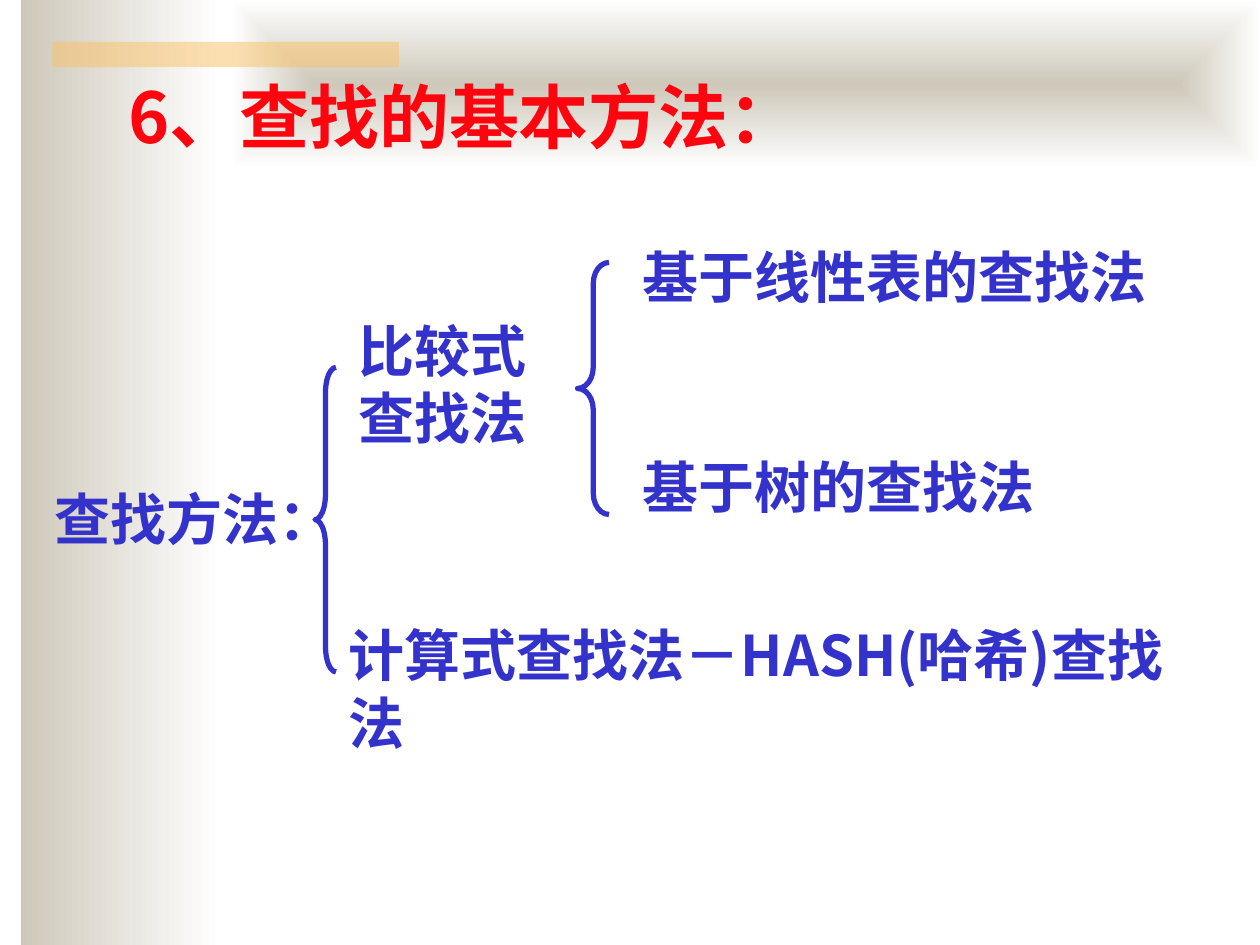
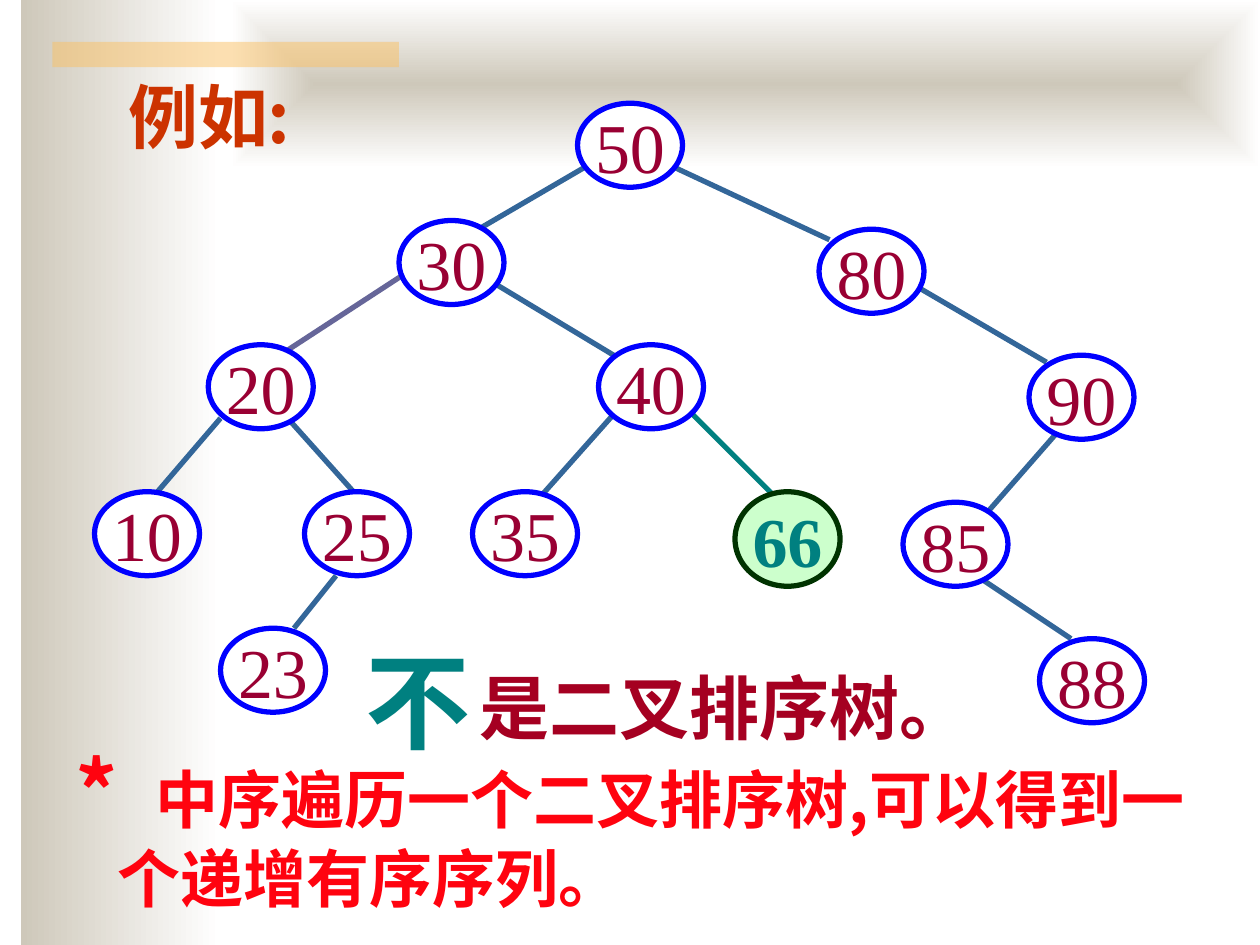
"""Build two lecture slides: search methods and a counter-example search tree."""
from dataclasses import dataclass

from pptx import Presentation, util as u
from pptx.dml.color import RGBColor
from pptx.enum import shapes, text
from pptx.oxml import parse_xml
from pptx.oxml.ns import nsdecls, qn

Pt = u.Pt


@dataclass(frozen=True)
class Theme:
    """Colours, fonts and sizes shared by the slides."""
    sand: str = "CEC8BA"
    white: str = "FFFFFF"
    amber: str = "FAC164"
    red: str = "FF030F"
    rust: str = "CC3300"
    indigo: str = "3333CC"
    crimson: str = "A50021"
    teal: str = "008080"
    node_line: str = "0000FF"
    node_text: str = "990033"
    odd_fill: str = "CCFFCC"
    odd_line: str = "003300"
    edge: str = "336699"
    edge_alternate: str = "666699"
    sans: str = "Noto Sans CJK SC"
    serif: str = "Times New Roman"
    title_size: int = 40
    label_size: int = 32
    note_size: int = 36
    star_size: int = 48
    emphasis_size: int = 60
    stroke: int = 3


THEME = Theme()


def apply(target, values):
    """Set every attribute named in a dict."""
    for name, value in values.items():
        setattr(target, name, value)


def add_run(paragraph, words, size, color, font=THEME.sans, bold=True):
    """Add a formatted run with Latin and East Asian fonts."""
    run = paragraph.add_run()
    run.text = words
    apply(run.font, {"name": font, "size": Pt(size), "bold": bold})
    run.font.color.rgb = RGBColor.from_string(color)
    run._r.get_or_add_rPr().append(
        parse_xml(f'<a:ea {nsdecls("a")} typeface="{THEME.sans}"/>'))


def add_label(slide, box, lines, size, color, font=THEME.sans, wrap=True):
    """Add a text box whose line pitch follows the type size."""
    label = slide.shapes.add_textbox(*map(Pt, box))
    frame = label.text_frame
    apply(frame, {"word_wrap": wrap, "auto_size": text.MSO_AUTO_SIZE.NONE,
                  "margin_top": Pt(3.6 + size / 10)})
    for index, line in enumerate(lines):
        paragraph = frame.add_paragraph() if index else frame.paragraphs[0]
        paragraph.line_spacing = Pt(size * 1.2)
        add_run(paragraph, line, size, color, font)
    return frame


def add_shape(slide, kind, box, fill=None, line=None):
    """Add a flat shape with optional solid fill and outline."""
    shape = slide.shapes.add_shape(kind, *map(Pt, box))
    shape.shadow.inherit = False
    if fill:
        shape.fill.solid()
        shape.fill.fore_color.rgb = RGBColor.from_string(fill)
    else:
        shape.fill.background()
    if line:
        shape.line.color.rgb = RGBColor.from_string(line)
        shape.line.width = Pt(THEME.stroke)
    else:
        shape.line.fill.background()
    return shape


def add_gradient_band(slide, box, from_center=False):
    """Add a band fading from sand to white."""
    band = add_shape(slide, shapes.MSO_SHAPE.RECTANGLE, box)
    band.fill.gradient()
    for stop, color in zip(band.fill.gradient_stops, (THEME.sand, THEME.white)):
        stop.color.rgb = RGBColor.from_string(color)
    band.fill.gradient_angle = 0
    if from_center:
        gradient = band._element.spPr.find(qn("a:gradFill"))
        gradient.replace(gradient.find(qn("a:lin")), parse_xml(
            f'<a:path {nsdecls("a")} path="shape">'
            '<a:fillToRect l="50000" t="50000" r="50000" b="50000"/></a:path>'))
    return band


def decorate_master(presentation, slide):
    """Move the shared bands from a slide to its master."""
    side = add_gradient_band(slide, (12, 0, 114, 540))
    top = add_gradient_band(slide, (132, 0, 588, 96), from_center=True)
    accent = add_shape(slide, shapes.MSO_SHAPE.RECTANGLE, (30, 24, 198, 14.4), THEME.amber)
    color = accent._element.spPr.find(qn("a:solidFill"))[0]
    color.append(parse_xml(f'<a:alpha {nsdecls("a")} val="50000"/>'))
    tree = presentation.slide_master.shapes._spTree
    for index, band in enumerate((side, top, accent)):
        tree.insert(2 + index, band._element)


def set_title(slide, words, color):
    """Place and fill the title placeholder."""
    title = slide.shapes.title
    apply(title, dict(zip(("left", "top", "width", "height"), map(Pt, (66, 24, 612, 66)))))
    apply(title.text_frame, {"vertical_anchor": text.MSO_ANCHOR.BOTTOM, "word_wrap": True,
                             "auto_size": text.MSO_AUTO_SIZE.NONE, "margin_bottom": 0})
    paragraph = title.text_frame.paragraphs[0]
    paragraph.alignment = text.PP_ALIGN.LEFT
    add_run(paragraph, words, THEME.title_size, color)


def draw_methods(slide, left, top):
    """Draw the bracketed outline of search methods."""
    labels = [
        ((0, 138, 198, 45), ["查找方法："]),
        ((174, 42, 198, 84), ["比较式", "查找法"]),
        ((168, 216, 510, 84), ["计算式查找法－HASH(哈希)查找法"]),
        ((336, 0, 342, 45), ["基于线性表的查找法"]),
        ((336, 120, 282, 45), ["基于树的查找法"]),
    ]
    braces = [((156, 78, 12, 174), 1.21), ((306, 18, 18, 144), 0.67)]
    for (x, y, width, height), lines in labels:
        add_label(slide, (left + x, top + y, width, height), lines,
                  THEME.label_size, THEME.indigo)
    for (x, y, width, height), curve in braces:
        brace = add_shape(slide, shapes.MSO_SHAPE.LEFT_BRACE,
                          (left + x, top + y, width, height), line=THEME.indigo)
        brace.adjustments[0] = curve


def add_edge(slide, ends, color):
    """Add a straight tree edge."""
    edge = slide.shapes.add_connector(shapes.MSO_CONNECTOR.STRAIGHT, *map(Pt, ends))
    edge.line.color.rgb = RGBColor.from_string(color)
    edge.line.width = Pt(THEME.stroke)
    edge._element.spPr.append(parse_xml(f'<a:effectLst {nsdecls("a")}/>'))


def add_node(slide, key, x, y, odd=False):
    """Add a tree node, highlighted when it breaks the ordering."""
    fill, line, color = ((THEME.odd_fill, THEME.odd_line, THEME.teal) if odd
                         else (THEME.white, THEME.node_line, THEME.node_text))
    node = add_shape(slide, shapes.MSO_SHAPE.OVAL, (x, y, 60, 54 if odd else 48), fill, line)
    apply(node.text_frame, {"word_wrap": False, "vertical_anchor": text.MSO_ANCHOR.MIDDLE})
    paragraph = node.text_frame.paragraphs[0]
    paragraph.alignment = text.PP_ALIGN.CENTER
    add_run(paragraph, str(key), THEME.title_size, color, THEME.serif, odd)


def draw_tree(slide, left, top):
    """Draw the edges and then the nodes of the tree."""
    nodes = {50: (276, 0), 30: (174, 67), 80: (414, 72), 20: (65, 138), 90: (534, 144),
             10: (0, 222), 85: (462, 228), 40: (288, 138), 35: (216, 222),
             25: (120, 222), 23: (72, 300), 88: (540, 306), 66: (366, 222)}
    edges = {(40, 66): (338, 174, 398, 234), (50, 30): (288, 32, 216, 74),
             (30, 20): (175, 99, 109, 142), (50, 80): (330, 36, 420, 78),
             (30, 40): (222, 99, 300, 146), (20, 10): (72, 180, 36, 222),
             (20, 25): (105, 174, 148, 222), (25, 23): (138, 270, 114, 300),
             (40, 35): (300, 174, 252, 228), (80, 90): (472, 106, 544, 148),
             (90, 85): (552, 186, 510, 234), (85, 88): (504, 270, 558, 306)}
    special = {(40, 66): THEME.teal, (30, 20): THEME.edge_alternate}
    for pair, (x1, y1, x2, y2) in edges.items():
        add_edge(slide, (left + x1, top + y1, left + x2, top + y2),
                 special.get(pair, THEME.edge))
    for key, (x, y) in nodes.items():
        add_node(slide, key, left + x, top + y, odd=key == 66)


def draw_verdict(slide, left, top):
    """Write the conclusion with its enlarged negation."""
    add_label(slide, (left + 65, top + 18, 298, 56), ["是二叉排序树。"],
              THEME.title_size, THEME.crimson, THEME.serif, wrap=False)
    add_label(slide, (left, top, 75, 79), ["不"],
              THEME.emphasis_size, THEME.teal, THEME.serif, wrap=False)


def draw_note(slide, left, top):
    """Write the starred remark on inorder traversal."""
    frame = add_label(slide, (left, top, 672, 108), ["*\t"], THEME.star_size, THEME.red)
    first = frame.paragraphs[0]
    first._p.get_or_add_pPr().append(parse_xml(
        f'<a:tabLst {nsdecls("a")}><a:tab pos="{Pt(46)}" algn="l"/></a:tabLst>'))
    add_run(first, "中序遍历一个二叉排序树,可以得到一", THEME.note_size, THEME.red)
    second = frame.add_paragraph()
    second.line_spacing = Pt(THEME.note_size * 1.2)
    second._p.get_or_add_pPr().set("marL", str(Pt(24)))
    add_run(second, "个递增有序序列。", THEME.note_size, THEME.red)


def main():
    """Build and save the presentation."""
    presentation = Presentation()
    apply(presentation, {"slide_width": Pt(720), "slide_height": Pt(540)})
    layout = presentation.slide_layouts[5]
    methods = presentation.slides.add_slide(layout)
    decorate_master(presentation, methods)
    set_title(methods, "6、查找的基本方法：", THEME.red)
    draw_methods(methods, 24, 132)

    example = presentation.slides.add_slide(layout)
    set_title(example, "例如:", THEME.rust)
    draw_verdict(example, 202, 354)
    draw_tree(example, 54, 59)
    draw_note(example, 36, 414)
    presentation.save("out.pptx")


if __name__ == "__main__":
    main()
